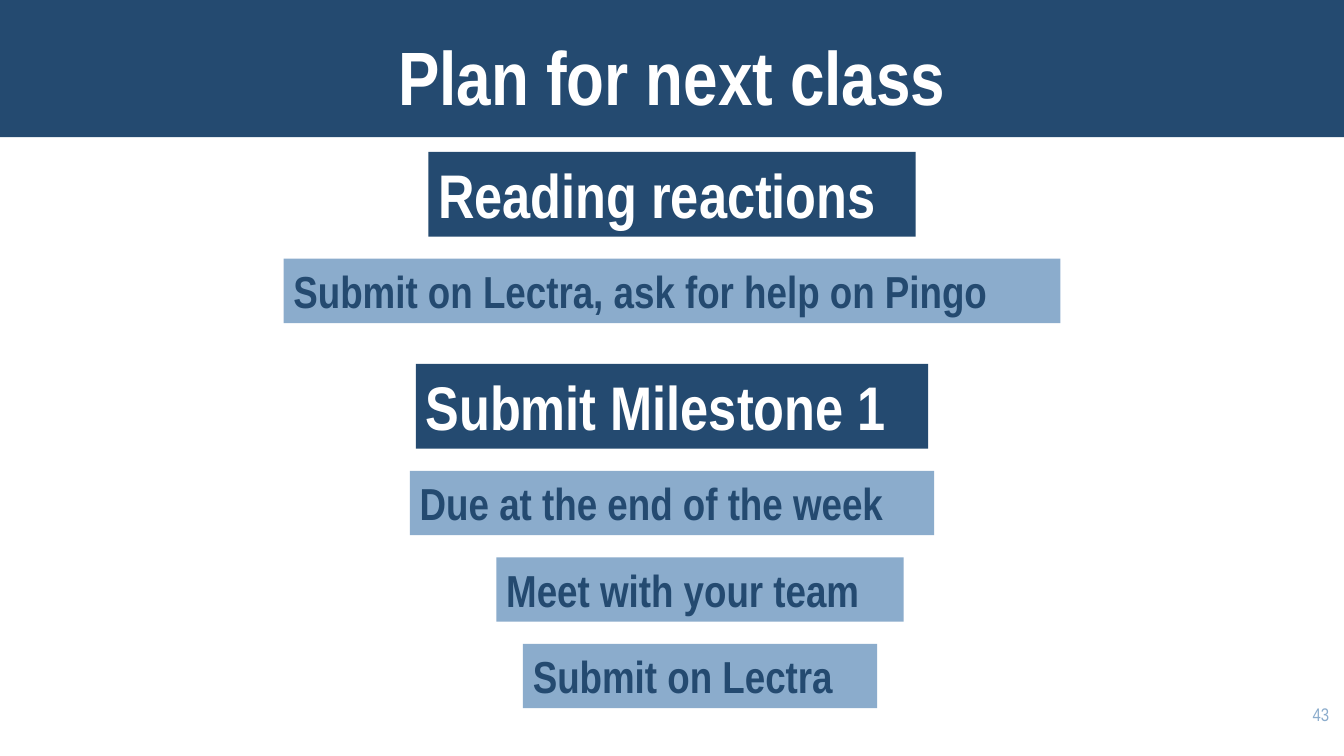
from pptx import Presentation
from pptx.dml.color import RGBColor
from pptx.enum.shapes import MSO_SHAPE
from pptx.enum.text import MSO_ANCHOR, PP_ALIGN
from pptx.util import Pt

NAVY = RGBColor(0x24, 0x4A, 0x70)
SKY = RGBColor(0x8B, 0xAC, 0xCC)
WHITE = RGBColor(0xFF, 0xFF, 0xFF)
FONT = "Arial Narrow"

TITLE = "Plan for next class"
PAGE_NUMBER = "43"
TOPICS = [
    {
        "top": 108.5,
        "heading": ("Reading reactions", 480, 348),
        "steps": [("Submit on Lectra, ask for help on Pingo", 480, 555)],
    },
    {
        "top": 260,
        "heading": ("Submit Milestone 1", 480, 366),
        "steps": [
            ("Due at the end of the week", 480, 374.5),
            ("Meet with your team", 500, 291),
            ("Submit on Lectra", 500, 253),
        ],
    },
]

SLIDE_WIDTH, SLIDE_HEIGHT = 960, 540
HEADING_HEIGHT, STEP_HEIGHT, GAP = 60.5, 46, 15.8


def write(shape, text, size, color, bold, align, anchor):
    frame = shape.text_frame
    frame.text = text
    frame.word_wrap = True
    frame.vertical_anchor = anchor
    paragraph = frame.paragraphs[0]
    paragraph.alignment = align
    font = paragraph.runs[0].font
    font.name, font.size, font.bold = FONT, Pt(size), bold
    font.color.rgb = color


def add_bar(slide, left, top, width, height, fill):
    bar = slide.shapes.add_shape(
        MSO_SHAPE.RECTANGLE, Pt(left), Pt(top), Pt(width), Pt(height))
    bar.shadow.inherit = False
    bar.fill.solid()
    bar.fill.fore_color.rgb = fill
    bar.line.fill.background()
    return bar


def add_label(slide, label, top, height, fill, size, color):
    text, center, width = label
    bar = add_bar(slide, center - width / 2, top, width, height, fill)
    write(bar, text, size, color, True, PP_ALIGN.LEFT, MSO_ANCHOR.MIDDLE)


def main():
    deck = Presentation()
    deck.slide_width, deck.slide_height = Pt(SLIDE_WIDTH), Pt(SLIDE_HEIGHT)
    slide = deck.slides.add_slide(deck.slide_layouts[6])

    add_bar(slide, 0, 0, SLIDE_WIDTH, 98, NAVY)
    title = slide.shapes.add_textbox(Pt(0), Pt(-8), Pt(SLIDE_WIDTH), Pt(98))
    write(title, TITLE, 54, WHITE, True, PP_ALIGN.CENTER, MSO_ANCHOR.BOTTOM)
    page_number = slide.shapes.add_textbox(Pt(898.5), Pt(499), Pt(58), Pt(41))
    write(page_number, PAGE_NUMBER, 13, SKY, False, PP_ALIGN.RIGHT, MSO_ANCHOR.TOP)

    for topic in TOPICS:
        top = topic["top"]
        add_label(slide, topic["heading"], top, HEADING_HEIGHT, NAVY, 44, WHITE)
        top += HEADING_HEIGHT + GAP
        for step in topic["steps"]:
            add_label(slide, step, top, STEP_HEIGHT, SKY, 32, NAVY)
            top += STEP_HEIGHT + GAP

    deck.save("out.pptx")


if __name__ == "__main__":
    main()
